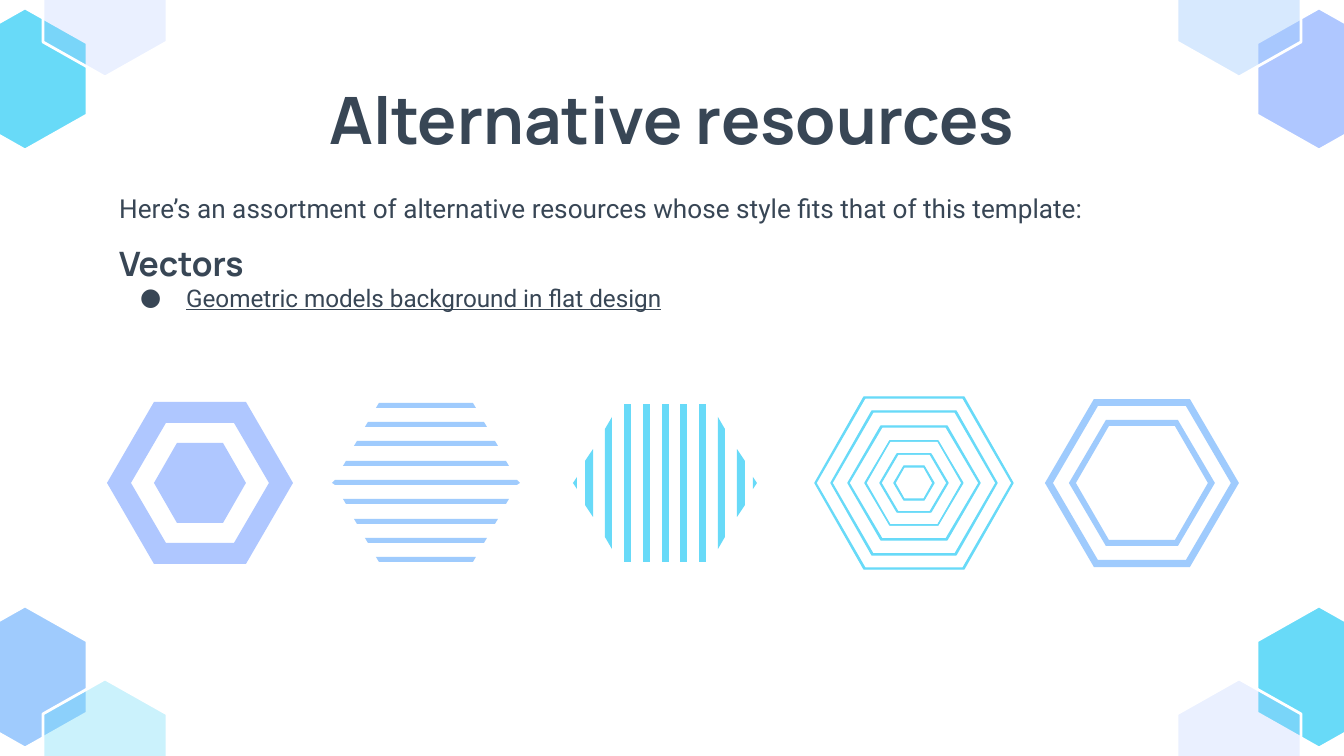
from dataclasses import dataclass
from typing import NamedTuple

from lxml import etree
from pptx import Presentation
from pptx import util as u
from pptx.dml.color import RGBColor
from pptx.enum import text as t
from pptx.oxml import ns

PX = 914400 / 134.4
WIDTH, HEIGHT = 1344, 756
MIDDLE = 483


@dataclass(frozen=True)
class Theme:
    ink: str = "384655"
    white: str = "FFFFFF"
    cyan: str = "68DAF8"
    sky: str = "9FCBFD"
    periwinkle: str = "AFC7FF"
    heading_font: str = "Manrope"
    body_font: str = "Roboto"
    title_size: float = 35
    intro_size: float = 14
    section_size: float = 18
    item_size: float = 13
    corner_line: float = 1.5
    ripple_line: float = 0.75


class Corner(NamedTuple):
    right: bool
    top: bool
    solid: str
    veil: str
    opacity: int


class Emblem(NamedTuple):
    x: int
    radii: tuple[int, ...]
    color: str
    line_width: float = 0


class Slat(NamedTuple):
    near: int
    far: int
    near_half: int
    far_half: int


Points = list[tuple[int, int]]
THEME = Theme()

CORNERS = [
    Corner(False, False, THEME.sky, THEME.cyan, 34),
    Corner(True, False, THEME.cyan, THEME.periwinkle, 25),
    Corner(False, True, THEME.cyan, THEME.periwinkle, 25),
    Corner(True, True, THEME.periwinkle, THEME.sky, 41),
]
RIPPLES = [99, 83, 66, 49, 34, 20]
EMBLEMS = [
    Emblem(1142, (97, 89, 73, 66), THEME.sky),
    Emblem(200, (93, 69), THEME.periwinkle),
    Emblem(200, (46,), THEME.periwinkle),
    *(Emblem(914, (r, r - 1), THEME.cyan, THEME.ripple_line) for r in RIPPLES),
]
SLATS = [
    Slat(15, 22, 79, 79),
    Slat(34, 41, 79, 79),
    Slat(53, 60, 66, 54),
    Slat(72, 80, 34, 22),
    Slat(88, 92, 6, 0),
]


def px(length: float) -> int:
    return round(length * PX)


def rgb(color: str) -> RGBColor:
    return RGBColor.from_string(color)


def draw_outline(shapes, contours: list[Points], color: str, *, opacity: int = 100,
                 line_color: str = "", line_width: float = 0) -> None:
    first, *others = contours
    builder = shapes.build_freeform(*first[0], scale=PX)
    builder.add_line_segments(first[1:], close=True)
    for contour in others:
        builder.move_to(*contour[0])
        builder.add_line_segments(contour[1:], close=True)
    outline = builder.convert_to_shape()
    outline.shadow.inherit = False
    outline.fill.solid()
    outline.fill.fore_color.rgb = rgb(color)
    if opacity < 100:
        fill_color = outline._element.spPr.find(ns.qn("a:solidFill"))[0]
        etree.SubElement(fill_color, ns.qn("a:alpha"), val=str(opacity * 1000))
    if line_width:
        outline.line.color.rgb = rgb(line_color or color)
        outline.line.width = u.Pt(line_width)
    else:
        outline.line.fill.background()


def upright_hexagon(x: int, y: int) -> Points:
    half_width, half_height, shoulder = 62, 71, 36
    return [(x, y - half_height), (x - half_width, y - shoulder),
            (x - half_width, y + shoulder), (x, y + half_height),
            (x + half_width, y + shoulder), (x + half_width, y - shoulder)]


def flat_hexagon(x: int, radius: int) -> Points:
    half, rise = round(radius / 2), round(radius * 0.866)
    return [(x - half, MIDDLE - rise), (x - radius, MIDDLE), (x - half, MIDDLE + rise),
            (x + half, MIDDLE + rise), (x + radius, MIDDLE), (x + half, MIDDLE - rise)]


def draw_corner(shapes, corner: Corner) -> None:
    pair = [(25, 677, corner.solid, 100), (105, 750, corner.veil, corner.opacity)]
    for x, y, color, opacity in pair:
        center = (WIDTH - x if corner.right else x, HEIGHT - y if corner.top else y)
        draw_outline(shapes, [upright_hexagon(*center)], color, opacity=opacity,
                     line_color=THEME.white, line_width=THEME.corner_line)


def draw_emblem(shapes, emblem: Emblem) -> None:
    draw_outline(shapes, [flat_hexagon(emblem.x, r) for r in emblem.radii],
                 emblem.color, line_width=emblem.line_width)


def draw_bars(shapes, x: int, color: str) -> None:
    for row in range(-4, 5):
        top = 480 + round(row * 58 / 3)
        bottom = top + 5
        wide = 94 - 11 * abs(row)
        narrow = wide - 3
        if row == 0:
            bar = [(x - narrow, top), (x - wide, MIDDLE), (x - narrow, bottom),
                   (x + narrow, bottom), (x + wide, MIDDLE), (x + narrow, top)]
        else:
            upper, lower = (narrow, wide) if row < 0 else (wide, narrow)
            bar = [(x - upper, top), (x - lower, bottom),
                   (x + lower, bottom), (x + upper, top)]
        draw_outline(shapes, [bar], color)


def draw_slats(shapes, x: int, color: str) -> None:
    mirrored = [(side, slat) for slat in SLATS for side in (-1, 1)]
    for side, slat in [(1, Slat(-3, 4, 79, 79)), *mirrored]:
        near, far = x + side * slat.near, x + side * slat.far
        draw_outline(shapes, [[(near, MIDDLE - slat.near_half), (near, MIDDLE + slat.near_half),
                               (far, MIDDLE + slat.far_half), (far, MIDDLE - slat.far_half)]],
                     color)


def add_frame(shapes, left: int, top: int, width: int, height: int):
    frame = shapes.add_textbox(px(left), px(top), px(width), px(height)).text_frame
    frame.word_wrap = True
    frame.vertical_anchor = t.MSO_ANCHOR.TOP
    frame.margin_left = frame.margin_right = frame.margin_top = frame.margin_bottom = u.Inches(0.1)
    return frame


def write(paragraph, content: str, *, font: str, size: float, bold: bool = False,
          underline: bool = False, align=t.PP_ALIGN.LEFT, space_before: float = 0,
          bullet: str = "") -> None:
    paragraph.alignment = align
    if space_before:
        paragraph.space_before = u.Pt(space_before)
    if bullet:
        properties = paragraph._p.get_or_add_pPr()
        properties.set("marL", str(px(67)))
        properties.set("indent", str(px(-46)))
        bullet_color = etree.SubElement(properties, ns.qn("a:buClr"))
        etree.SubElement(bullet_color, ns.qn("a:srgbClr"), val=THEME.ink)
        etree.SubElement(properties, ns.qn("a:buFont"), typeface=font)
        etree.SubElement(properties, ns.qn("a:buChar"), char=bullet)
    run = paragraph.add_run()
    run.text = content
    run.font.name = font
    run.font.size = u.Pt(size)
    run.font.bold = bold
    run.font.underline = underline
    run.font.color.rgb = rgb(THEME.ink)


def main() -> None:
    deck = Presentation()
    deck.slide_width, deck.slide_height = px(WIDTH), px(HEIGHT)
    slide = deck.slides.add_slide(deck.slide_layouts[6])
    slide.background.fill.solid()
    slide.background.fill.fore_color.rgb = rgb(THEME.white)
    shapes = slide.shapes

    for corner in CORNERS:
        draw_corner(shapes, corner)

    title = add_frame(shapes, 106, 66, 1132, 85)
    write(title.paragraphs[0], "Alternative resources", font=THEME.heading_font,
          size=THEME.title_size, bold=True, align=t.PP_ALIGN.CENTER)
    body = add_frame(shapes, 106, 179, 1132, 151)
    write(body.paragraphs[0],
          "Here’s an assortment of alternative resources whose style fits that of this template:",
          font=THEME.body_font, size=THEME.intro_size)
    write(body.add_paragraph(), "Vectors", font=THEME.heading_font,
          size=THEME.section_size, bold=True, space_before=10)
    write(body.add_paragraph(), "Geometric models background in flat design",
          font=THEME.body_font, size=THEME.item_size, underline=True, bullet="●")

    for emblem in EMBLEMS:
        draw_emblem(shapes, emblem)
    draw_bars(shapes, 426, THEME.sky)
    draw_slats(shapes, 665, THEME.cyan)
    deck.save("out.pptx")


if __name__ == "__main__":
    main()
